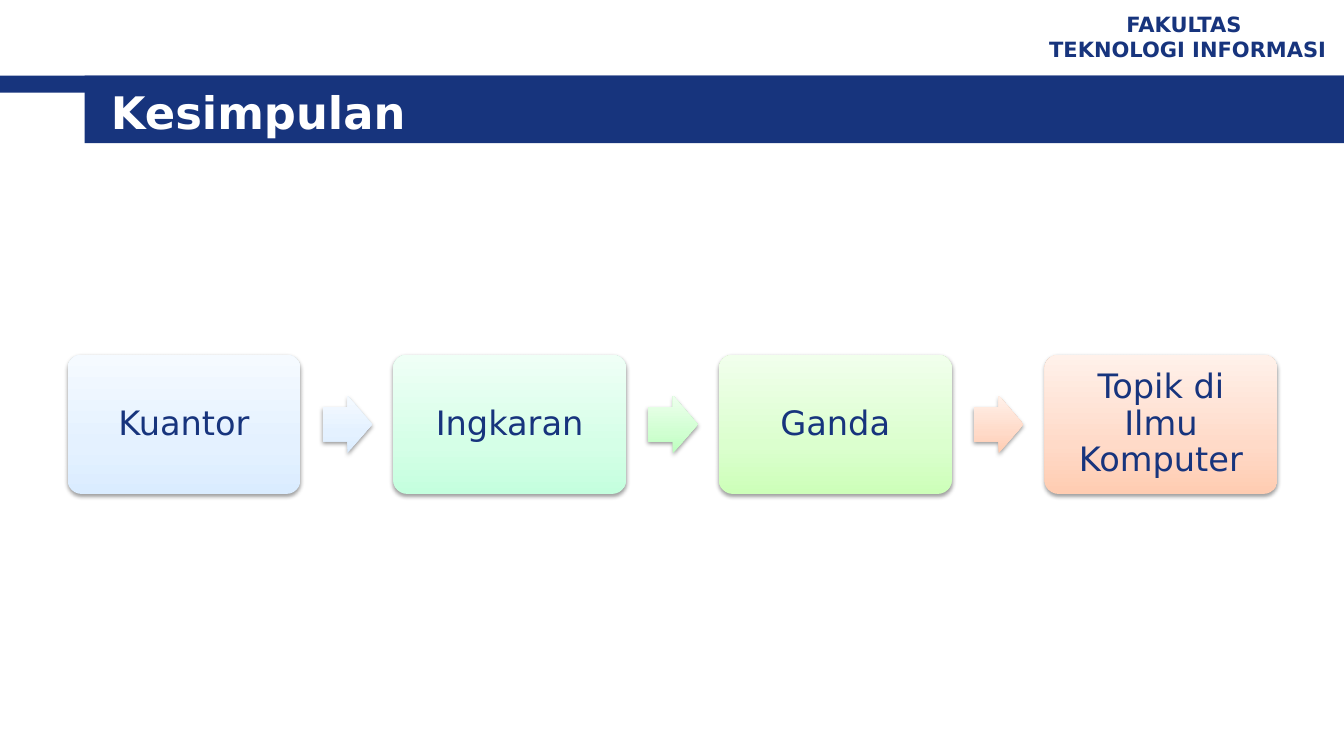
import pptx
import pptx.util
import pptx.oxml
import pptx.oxml.ns
import pptx.dml.color
import pptx.enum.shapes
import pptx.enum.text

Inches = pptx.util.Inches
Shape = pptx.enum.shapes.MSO_SHAPE
Align = pptx.enum.text.PP_ALIGN
FONT = "DejaVu Sans"
COLORS = {"navy": "17347D", "white": "FFFFFF", "shade": "000000"}
FADES = {
    "blue": ("DAECFF", "E4F1FF", "F5FAFF"),
    "mint": ("C4FFDE", "D5FFE7", "EFFFF6"),
    "green": ("BCFFBE", "D0FFD1", "EDFFED"),
    "lime": ("CDFFB9", "DBFFCE", "F1FFEC"),
    "peach": ("FFCCB1", "FFDAC8", "FFF1EA"),
}
STEPS = [("Kuantor", "blue"), ("Ingkaran", "mint"), ("Ganda", "lime"),
         ("Topik di Ilmu Komputer", "peach")]
ARROWS = ["blue", "green", "peach"]


def paint(name):
    return pptx.dml.color.RGBColor.from_string(COLORS[name])


def write(frame, lines, size, color, align, bold=False, space=None):
    frame.word_wrap = True
    frame.vertical_anchor = pptx.enum.text.MSO_ANCHOR.MIDDLE
    for i, line in enumerate(lines):
        para = frame.add_paragraph() if i else frame.paragraphs[0]
        para.alignment = align
        para.line_spacing = space
        run = para.add_run()
        run.text = line
        run.font.name = FONT
        run.font.size = pptx.util.Pt(size)
        run.font.bold = bold
        run.font.color.rgb = paint(color)


def add_bar(slide, left, top, width, height):
    bar = slide.shapes.add_shape(Shape.RECTANGLE, Inches(left), Inches(top),
                                 Inches(width), Inches(height))
    bar.shadow.inherit = False
    bar.fill.solid()
    bar.fill.fore_color.rgb = paint("navy")
    bar.line.fill.background()


def add_fade(slide, kind, left, top, width, height, fade):
    shape = slide.shapes.add_shape(kind, Inches(left), Inches(top),
                                   Inches(width), Inches(height))
    space = pptx.oxml.ns.nsdecls("a")
    stops = "".join(
        f'<a:gs pos="{pos}"><a:srgbClr val="{color}"/></a:gs>'
        for pos, color in zip((0, 35000, 100000), FADES[fade]))
    props = shape._element.spPr
    props.append(pptx.oxml.parse_xml(
        f'<a:gradFill {space} rotWithShape="1"><a:gsLst>{stops}</a:gsLst>'
        '<a:lin ang="16200000" scaled="0"/></a:gradFill>'))
    shape.line.fill.background()
    props.append(pptx.oxml.parse_xml(
        f'<a:effectLst {space}><a:outerShdw blurRad="{pptx.util.Pt(3.1)}" '
        f'dist="{pptx.util.Pt(1.6)}" dir="5400000" rotWithShape="0">'
        f'<a:srgbClr val="{COLORS["shade"]}"><a:alpha val="38000"/></a:srgbClr>'
        '</a:outerShdw></a:effectLst>'))
    return shape


def add_head(slide, left, top, width):
    add_bar(slide, left, top + 0.75, width, 0.17)
    add_bar(slide, left + 0.84, top + 0.75, width - 0.84, 0.67)
    box = slide.shapes.add_textbox(Inches(left + width - 3.1), Inches(top + 0.05),
                                   Inches(3.1), Inches(0.62))
    write(box.text_frame, ["FAKULTAS ", "TEKNOLOGI INFORMASI"], 15, "navy",
          Align.CENTER, True)
    title = slide.shapes.title
    title.left, title.top = Inches(left + 1), Inches(top + 0.8)
    title.width, title.height = Inches(11.89), Inches(0.62)
    write(title.text_frame, ["Kesimpulan"], 32, "white", Align.LEFT, True)
    slide.shapes._spTree.append(title._element)


def add_flow(slide, left, top, width, height):
    wide = 2.31
    pitch = (width - wide) / (len(STEPS) - 1)
    for i, (text, fade) in enumerate(STEPS):
        x = left + i * pitch
        card = add_fade(slide, Shape.ROUNDED_RECTANGLE, x, top, wide, height, fade)
        card.adjustments[0] = 0.1
        frame = card.text_frame
        frame.margin_left = frame.margin_right = Inches(0.1)
        frame.margin_top = frame.margin_bottom = Inches(0.1)
        write(frame, [text], 24, "navy", Align.CENTER, space=0.9)
        if i < len(ARROWS):
            arrow = add_fade(slide, Shape.RIGHT_ARROW, x + wide + 0.22,
                             top + (height - 0.57) / 2, 0.49, 0.57, ARROWS[i])
            arrow.adjustments[0] = 0.6
            arrow.adjustments[1] = 0.5


def main():
    deck = pptx.Presentation()
    deck.slide_width, deck.slide_height = Inches(13.33), Inches(7.5)
    slide = deck.slides.add_slide(deck.slide_layouts[5])
    add_head(slide, 0, 0, 13.33)
    add_flow(slide, 0.67, 3.52, 12, 1.38)
    deck.save("out.pptx")


if __name__ == "__main__":
    main()
